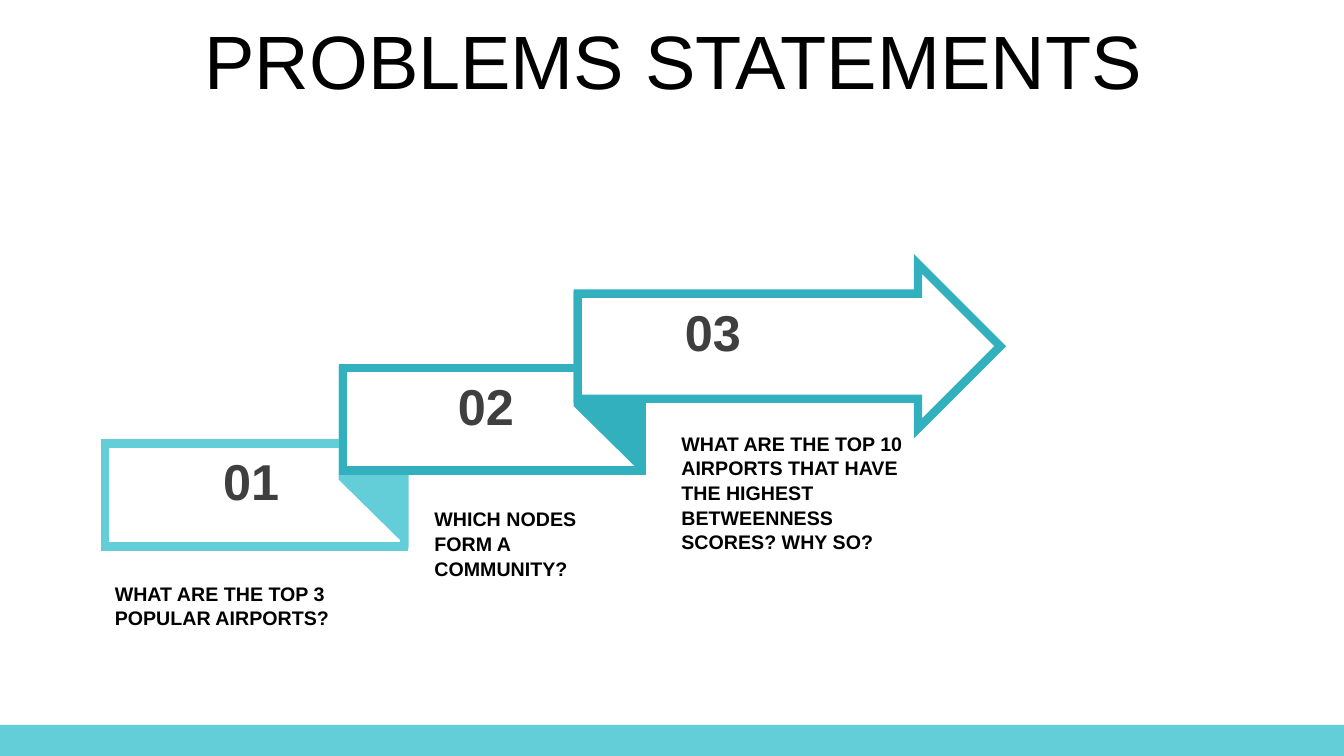
"""Build a slide with three problem statements on a stepped ribbon arrow."""
import pptx
import pptx.util
import pptx.dml.color
import pptx.enum.shapes
import pptx.enum.text
import lxml.etree

PX = 9144
FONT = "Arial"
HUES = {"pale": "64CED8", "deep": "32B0BE", "white": "FFFFFF",
        "black": "000000", "grey": "3F3F3F"}
KIND = pptx.enum.shapes.MSO_SHAPE
ALIGN = pptx.enum.text.PP_ALIGN
ANCHOR = pptx.enum.text.MSO_ANCHOR

STEPS = [
    ((104, 440, 297, 102), "pale", "01", (103, 2),
     "WHAT ARE THE TOP 3 POPULAR AIRPORTS?", (104, 571, 283, 58)),
    ((340, 365, 297, 102), "deep", "02", (100, 2),
     "WHICH NODES FORM A COMMUNITY?", (421, 497, 213, 74)),
    ((573, 262, 419, 163), "deep", "03", (92, 32),
     "WHAT ARE THE TOP 10 AIRPORTS THAT HAVE THE HIGHEST "
     "BETWEENNESS SCORES? WHY SO?", (666, 422, 263, 30)),
]
FOLDS = [(340, 372), (573, 299)]


def scale(box):
    """Turn px lengths into EMU."""
    return [pptx.util.Emu(n * PX) for n in box]


def tint(hue):
    """Return the named colour."""
    return pptx.dml.color.RGBColor.from_string(HUES[hue])


def paint(shape, fill, edge=None):
    """Give a shape its flat fill and sharp-cornered outline."""
    shape.shadow.inherit = False
    shape.fill.solid()
    shape.fill.fore_color.rgb = tint(fill)
    if edge is None:
        shape.line.fill.background()
        return
    shape.line.color.rgb = tint(edge)
    shape.line.width = pptx.util.Pt(6)
    line = shape.line.fill._xPr
    miter = lxml.etree.SubElement(line, pptx.oxml.ns.qn("a:miter"))
    miter.set("lim", "800000")


def write(slide, box, text, size, hue, bold=True, align=ALIGN.LEFT,
          space=1.0, anchor=ANCHOR.TOP):
    """Place one paragraph of text in the box."""
    frame = slide.shapes.add_textbox(*scale(box)).text_frame
    frame.word_wrap = True
    frame.vertical_anchor = anchor
    para = frame.paragraphs[0]
    para.text = text
    para.alignment = align
    para.line_spacing = space
    para.font.name = FONT
    para.font.size = pptx.util.Pt(size)
    para.font.bold = bold
    para.font.color.rgb = tint(hue)


def add_band(slide, box):
    """Draw the band along the foot of the slide."""
    paint(slide.shapes.add_shape(KIND.RECTANGLE, *scale(box)), "pale")


def add_title(slide, box):
    """Write the title."""
    write(slide, box, "PROBLEMS STATEMENTS", 54, "black", False,
          ALIGN.CENTER, 0.9, ANCHOR.MIDDLE)


def add_fold(slide, box, hue):
    """Draw the slanted fold that joins two steps."""
    left, top, width, height = box
    drop = 60
    pen = slide.shapes.build_freeform(left, top, scale=PX)
    pen.add_line_segments([(left + width, top + drop),
                           (left + width, top + height),
                           (left, top + height - drop)])
    paint(pen.convert_to_shape(), hue, hue)


def add_step(slide, box, hue, last):
    """Draw one ribbon step, the last one as an arrow."""
    kind = KIND.RIGHT_ARROW if last else KIND.RECTANGLE
    step = slide.shapes.add_shape(kind, *scale(box))
    if last:
        step.adjustments[0] = 0.64
        step.adjustments[1] = 0.5
    paint(step, "white", hue)


def add_ribbon(slide):
    """Draw the steps from back to front with numbers and questions."""
    for rank, (box, hue, label, shift, ask, spot) in enumerate(STEPS):
        last = rank == len(FOLDS)
        add_step(slide, box, hue, last)
        if not last:
            add_fold(slide, (*FOLDS[rank], 61, 162), hue)
    for box, hue, label, shift, ask, spot in STEPS:
        place = (box[0] + shift[0], box[1] + shift[1], 84, 71)
        write(slide, place, label, 36, "grey", align=ALIGN.CENTER)
        write(slide, spot, ask, 14, "black", space=1.05)


def main():
    """Build and save the slide."""
    deck = pptx.Presentation()
    deck.slide_width, deck.slide_height = scale((1333, 750))
    slide = deck.slides.add_slide(deck.slide_layouts[6])
    add_band(slide, (0, 719, 1333, 31))
    add_title(slide, (35, 25, 1266, 79))
    add_ribbon(slide)
    deck.save("out.pptx")


if __name__ == "__main__":
    main()
